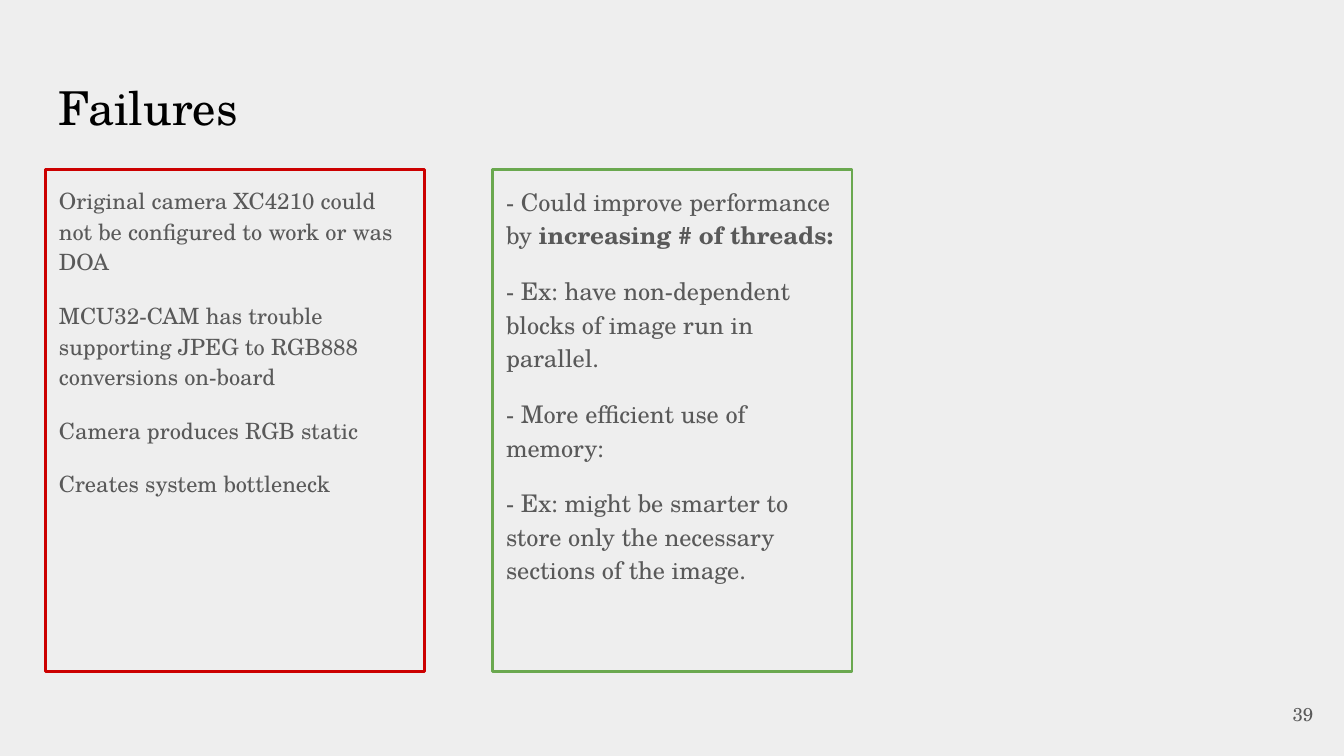
"""Build the Failures slide with two outlined text panels."""
from dataclasses import dataclass
from typing import Optional

from pptx import Presentation
from pptx.dml.color import RGBColor
from pptx.enum.shapes import MSO_SHAPE
from pptx.enum.text import MSO_ANCHOR, PP_ALIGN
from pptx.util import Pt

RECT = MSO_SHAPE.RECTANGLE
TOP, MIDDLE = MSO_ANCHOR.TOP, MSO_ANCHOR.MIDDLE
LEFT, RIGHT = PP_ALIGN.LEFT, PP_ALIGN.RIGHT

FONT = "TeX Gyre Schola"
BACKGROUND = RGBColor(0xEE, 0xEE, 0xEE)
BLACK = RGBColor(0x00, 0x00, 0x00)
GRAY = RGBColor(0x59, 0x59, 0x59)
RED = RGBColor(0xCC, 0x00, 0x00)
GREEN = RGBColor(0x6A, 0xA8, 0x4F)

INSET = 7.2
MARGIN = 24.5
PANEL_TOP, PANEL_HEIGHT = 90.7, 269.3


@dataclass
class Run:
    text: str
    bold: bool = False


@dataclass
class Panel:
    left: float
    width: float
    outline: RGBColor
    size: float
    paragraphs: list[list[Run]]


PANELS = [
    Panel(MARGIN, 203, RED, 12, [
        [Run("Original camera XC4210 could not be configured to work or was DOA")],
        [Run("MCU32-CAM has trouble supporting JPEG to RGB888 conversions on-board")],
        [Run("Camera produces RGB static")],
        [Run("Creates system bottleneck")],
    ]),
    Panel(264, 192.5, GREEN, 13, [
        [Run("- Could improve performance by "), Run("increasing # of threads:", bold=True)],
        [Run("- Ex: have non-dependent blocks of image run in parallel.")],
        [Run("- More efficient use of memory:")],
        [Run("- Ex: might be smarter to store only the necessary sections of the image.")],
    ]),
]


def write_text(tf, paragraphs: list[list[Run]], *, size: float, color: RGBColor = GRAY,
               align: PP_ALIGN = LEFT, anchor: MSO_ANCHOR = TOP,
               spacing: Optional[float] = None, gap: float = 0) -> None:
    """Fill a text frame with formatted paragraphs."""
    tf.word_wrap = True
    tf.vertical_anchor = anchor
    tf.margin_left = tf.margin_right = tf.margin_top = tf.margin_bottom = Pt(INSET)
    for i, runs in enumerate(paragraphs):
        p = tf.add_paragraph() if i else tf.paragraphs[0]
        p.alignment = align
        p.line_spacing = spacing
        if i:
            p.space_before = Pt(gap)
        for run in runs:
            r = p.add_run()
            r.text = run.text
            r.font.name = FONT
            r.font.size = Pt(size)
            r.font.bold = run.bold
            r.font.color.rgb = color


def add_label(s, text: str, left: float, top: float, width: float, height: float,
              **text_format) -> None:
    """Add a text box holding one line."""
    sp = s.shapes.add_textbox(Pt(left), Pt(top), Pt(width), Pt(height))
    write_text(sp.text_frame, [[Run(text)]], **text_format)


def add_panel(s, panel: Panel) -> None:
    """Add an unfilled, outlined panel with its paragraphs."""
    sp = s.shapes.add_shape(RECT, Pt(panel.left), Pt(PANEL_TOP),
                            Pt(panel.width), Pt(PANEL_HEIGHT))
    sp.shadow.inherit = False
    sp.fill.background()
    sp.line.color.rgb = panel.outline
    sp.line.width = Pt(1.5)
    write_text(sp.text_frame, panel.paragraphs, size=panel.size, spacing=1.15, gap=12)


def main() -> None:
    """Create and save the presentation."""
    prs = Presentation()
    prs.slide_width, prs.slide_height = Pt(720), Pt(405)
    s = prs.slides.add_slide(prs.slide_layouts[6])
    s.background.fill.solid()
    s.background.fill.fore_color.rgb = BACKGROUND

    add_label(s, "Failures", MARGIN, 35.3, 671, 45.4, size=25, color=BLACK)
    for panel in PANELS:
        add_panel(s, panel)
    add_label(s, "39", 667.4, 367.2, 43.2, 31, size=10, align=RIGHT, anchor=MIDDLE)
    prs.save("out.pptx")


if __name__ == "__main__":
    main()
